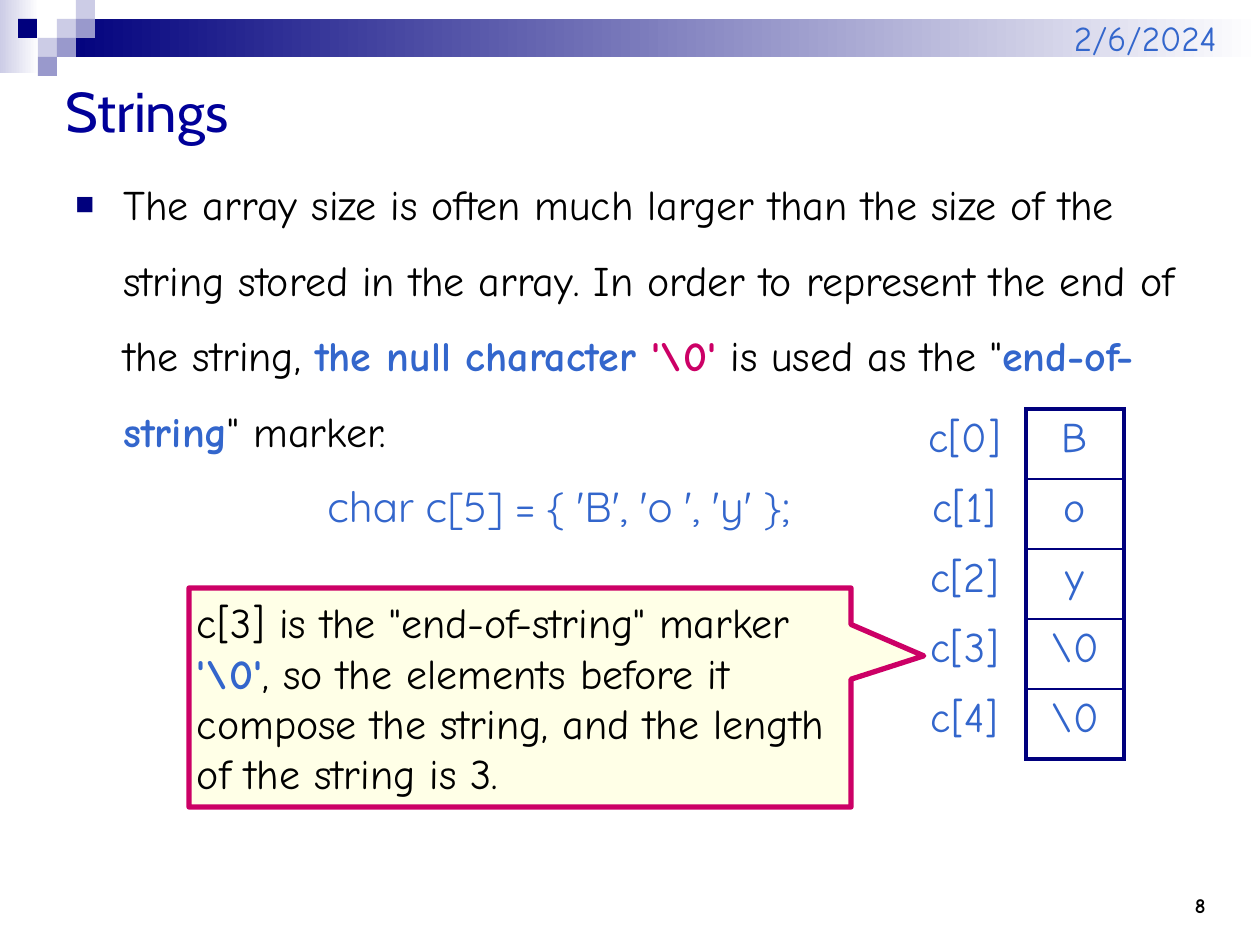
from pptx import Presentation
from pptx.util import Emu, Pt
from pptx.dml.color import RGBColor
from pptx.enum.shapes import MSO_SHAPE
from pptx.enum.text import MSO_ANCHOR, PP_ALIGN
from lxml import etree

RECT, CALLOUT = MSO_SHAPE.RECTANGLE, MSO_SHAPE.RECTANGULAR_CALLOUT
TOP, MIDDLE, BOTTOM = MSO_ANCHOR.TOP, MSO_ANCHOR.MIDDLE, MSO_ANCHOR.BOTTOM
LEFT, CENTER, RIGHT = PP_ALIGN.LEFT, PP_ALIGN.CENTER, PP_ALIGN.RIGHT
PX = 914400 / 126
NS = "http://schemas.openxmlformats.org/drawingml/2006/main"
BODY_FONT = "Comic Neue"
C = {"navy": "00007D", "title": "000099", "blue": "3366CC", "magenta": "CC0066",
     "pale": "CCCCE6", "mid": "9999CC", "cream": "FFFFE7", "black": "000000", "white": "FFFFFF"}
C = {name: RGBColor.from_string(value) for name, value in C.items()}


def px(*values):
    return [Emu(round(v * PX)) for v in values]


def write(p, runs, size, font=BODY_FONT, align=LEFT):
    """Fill a paragraph with (text, colour, bold) runs."""
    p.alignment = align
    p.font.size, p.font.name = Pt(size), font
    for text, color, bold in runs:
        r = p.add_run()
        r.text = text
        r.font.color.rgb, r.font.bold = C[color], bold


prs = Presentation()
prs.slide_width, prs.slide_height = px(1260, 945)
s = prs.slides.add_slide(prs.slide_layouts[6])

# Gradient bands, then the squares of the header
header = [(0, 0, 39, 73, ("pale", "white")), (57, 19, 1203, 38, ("navy", "white"))]
header += [(x, y, 19, 19, (color,)) for x, y, color in [
    (57, 19, "pale"), (76, 0, "pale"), (76, 19, "mid"), (38, 38, "pale"),
    (18, 19, "navy"), (57, 38, "mid"), (38, 57, "mid")]]
for x, y, w, h, colors in header:
    sp = s.shapes.add_shape(RECT, *px(x, y, w, h))
    sp.shadow.inherit = False
    sp.line.fill.background()
    if len(colors) == 1:
        sp.fill.solid()
        sp.fill.fore_color.rgb = C[colors[0]]
    else:
        sp.fill.gradient()
        sp.fill.gradient_angle = 0
        for position, (stop, color) in enumerate(zip(sp.fill.gradient_stops, colors)):
            stop.position = position
            stop.color.rgb = C[color]

# Page number, date, title and body text
body = [("The array size is often much larger than the size of the string stored in the array. "
         "In order to represent the end of the string, ", "black", False),
        ("the null character ", "blue", True), ("'\\0'", "magenta", True),
        (" is used as the \"", "black", False), ("end-of-string", "blue", True),
        ("\" marker.", "black", False)]
texts = [((1113, 861, 105, 63), BOTTOM, [("8", "black", True)], 12, BODY_FONT, RIGHT),
         ((935, 0, 294, 65), BOTTOM, [("2/6/2024", "blue", False)], 20, BODY_FONT, RIGHT),
         ((53, 63, 1134, 94), MIDDLE, [("Strings", "title", False)], 32, "Cabin", LEFT),
         ((63, 147, 1134, 735), TOP, body, 24, BODY_FONT, LEFT)]
for box, anchor, runs, size, font, align in texts:
    tf = s.shapes.add_textbox(*px(*box)).text_frame
    tf.word_wrap = True
    tf.vertical_anchor = anchor
    write(tf.paragraphs[0], runs, size, font, align)

# Bullet of the body, and the indented code line below it
p = tf.paragraphs[0]
p.line_spacing = 1.5
pPr = p._p.get_or_add_pPr()
indent = px(48)[0]
pPr.set("marL", str(indent))
pPr.set("indent", str(-indent))
bullet = etree.fromstring(
    f'<a:b xmlns:a="{NS}"><a:buClr><a:srgbClr val="{C["navy"]}"/></a:buClr>'
    '<a:buSzPct val="75000"/><a:buFont typeface="Arial"/><a:buChar char="■"/></a:b>')
defRPr = pPr.find(f"{{{NS}}}defRPr")
for element in list(bullet):
    defRPr.addprevious(element)
p = tf.add_paragraph()
write(p, [("char c[5] = { 'B', 'o ', 'y' };", "blue", False)], 24, "Quicksand")
p.line_spacing = 1.5
p._p.get_or_add_pPr().set("marL", str(px(252)[0]))

# Array table: index labels beside the outlined memory cells
values = ["B", "o", "y", "\\0", "\\0"]
last = len(values) - 1
table = s.shapes.add_table(len(values), 2, *px(913, 409, 211, 350)).table
table.first_row = table.horz_banding = False
for column, width in zip(table.columns, px(113, 98)):
    column.width = width
for i, value in enumerate(values):
    table.rows[i].height = px(70)[0]
    borders = {"L": 2.25, "R": 2.25, "T": 1 if i else 2.25, "B": 1 if i < last else 2.25}
    columns = [(f"c[{i}]", 10, {"R": 2.25}), (value, 0, borders)]
    for j, (text, right, edges) in enumerate(columns):
        cell = table.cell(i, j)
        cell.margin_left, cell.margin_right, cell.margin_top, cell.margin_bottom = px(0, right, 6, 6)
        write(cell.text_frame.paragraphs[0], [(text, "blue", False)], 24, align=CENTER)
        tcPr = cell._tc.get_or_add_tcPr()
        for side, width in edges.items():
            tcPr.append(etree.fromstring(
                f'<a:ln{side} xmlns:a="{NS}" w="{Pt(width)}"><a:solidFill>'
                f'<a:srgbClr val="{C["navy"]}"/></a:solidFill></a:ln{side}>'))
        cell.fill.background()

# Callout pointing at c[3]
sp = s.shapes.add_shape(CALLOUT, *px(189, 588, 662, 219))
sp.shadow.inherit = False
sp.adjustments[0], sp.adjustments[1] = 0.61, -0.19
sp.fill.solid()
sp.fill.fore_color.rgb = C["cream"]
sp.line.color.rgb = C["magenta"]
sp.line.width = Pt(3)
tf = sp.text_frame
tf.word_wrap = True
tf.vertical_anchor = MIDDLE
tf.margin_left, tf.margin_right, tf.margin_top, tf.margin_bottom = px(8, 8, 6, 6)
write(tf.paragraphs[0], [
    ("c[3] is the \"end-of-string\" marker ", "black", False), ("'\\0'", "blue", True),
    (", so the elements before it compose the string, and the length of the string is 3.",
     "black", False)], 24)

prs.save("out.pptx")
